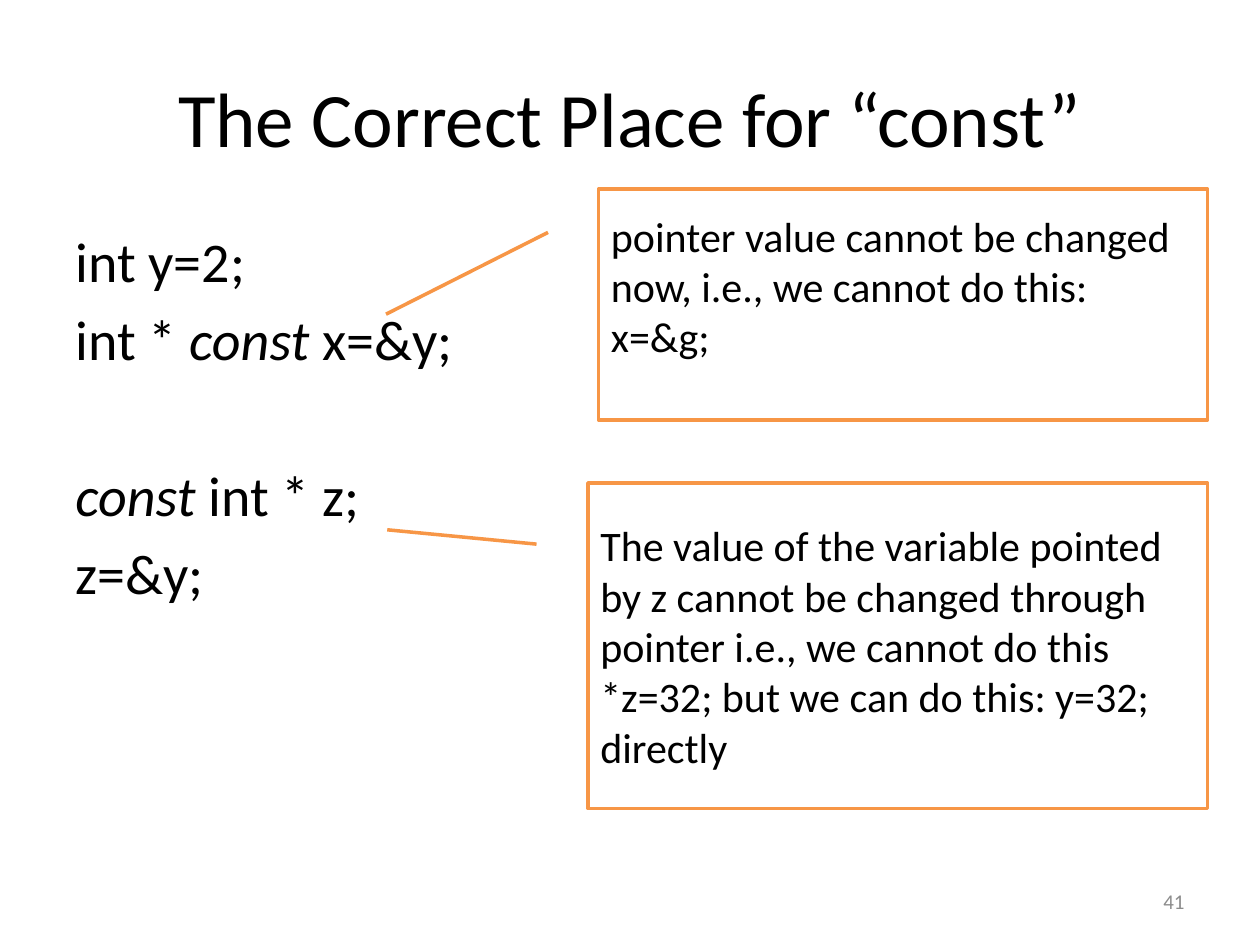
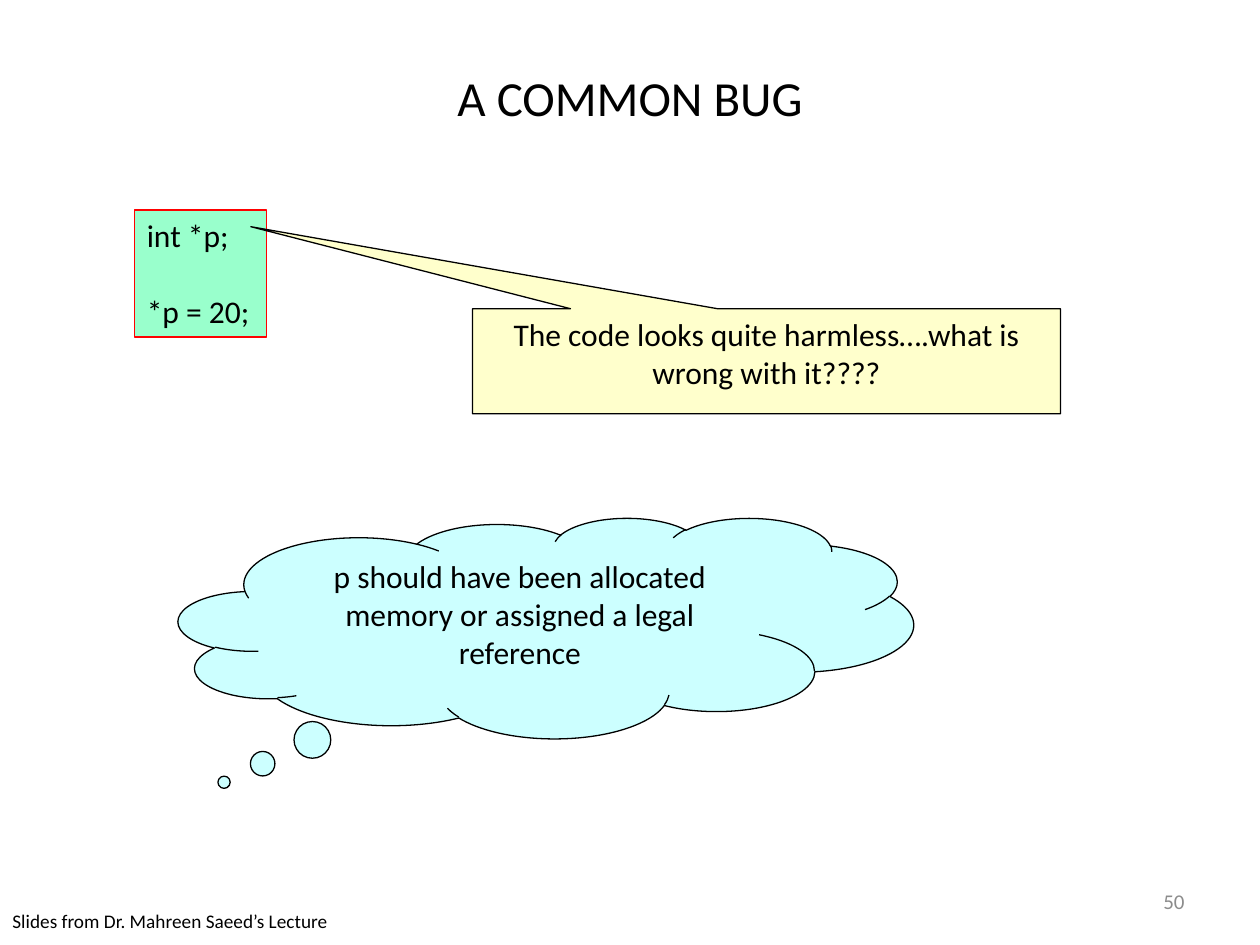
from dataclasses import dataclass, field
from typing import Optional

from pptx import Presentation
from pptx.dml.color import RGBColor
from pptx.enum import shapes, text
from pptx.util import Emu, Inches, Pt

COLUMNS, ROWS = 120, 90  # the slide's grid; each cell is 1/12 inch square
FONT = "Calibri"
COLORS = {
    "ink": "000000", "paper": "FFFFFF", "number": "8C8C8C",
    "orange": "F79646", "red": "FF0000",
    "mint": "99FFCC", "cream": "FFFFCC", "sky": "CCFFFF",
}
KINDS = shapes.MSO_SHAPE
ALIGN = text.PP_ALIGN
ANCHOR = text.MSO_ANCHOR


@dataclass
class Line:
    """A paragraph; words between asterisk-free run pairs are (text, italic)."""
    runs: list[tuple[str, bool]]
    before: float = 0


@dataclass
class Block:
    """Text on the grid (left, top, width, height), in a shape if kind is set."""
    at: tuple[float, float, float, float]
    lines: list[Line]
    size: float
    align: ALIGN = ALIGN.LEFT
    anchor: ANCHOR = ANCHOR.TOP
    color: str = "ink"
    kind: Optional[KINDS] = None
    fill: str = "paper"
    outline: str = "ink"
    weight: float = 0.75
    adjustments: tuple[float, ...] = ()
    frame: dict = field(default_factory=dict)


def plain(words: str, before: float = 0) -> Line:
    return Line([(words, False)], before)


def title(words: str, top: float, height: float, size: float) -> Block:
    return Block((6, top, 108, height), [plain(words)], size,
                 ALIGN.CENTER, ANCHOR.MIDDLE)


def slide_number(number: int) -> Block:
    return Block((86, 83.4, 28, 4.8), [plain(str(number))], 12,
                 ALIGN.RIGHT, ANCHOR.MIDDLE, "number")


def remark(at: tuple, lines: list[Line], pointer: tuple, **frame) -> Block:
    """An orange box with a line that leads to the code."""
    return Block(at, lines, 24, anchor=ANCHOR.MIDDLE, kind=KINDS.LINE_CALLOUT_1,
                 outline="orange", weight=2,
                 adjustments=(0.188, -0.083, *pointer), frame=frame)


def rgb(name: str) -> RGBColor:
    return RGBColor.from_string(COLORS[name])


def set_all(target, values: dict) -> None:
    for name, value in values.items():
        setattr(target, name, value)


def draw(slide, block: Block, cell: tuple[float, float]) -> None:
    place = [Emu(round(n * cell[i % 2])) for i, n in enumerate(block.at)]
    if block.kind is None:
        shape = slide.shapes.add_textbox(*place)
    else:
        shape = slide.shapes.add_shape(block.kind, *place)
        shape.shadow.inherit = False
        shape.fill.solid()
        shape.fill.fore_color.rgb = rgb(block.fill)
        shape.line.color.rgb = rgb(block.outline)
        shape.line.width = Pt(block.weight)
        for i, value in enumerate(block.adjustments):
            shape.adjustments[i] = value

    frame = shape.text_frame
    set_all(frame, {"word_wrap": True, "vertical_anchor": block.anchor,
                    **block.frame})
    for i, line in enumerate(block.lines):
        paragraph = frame.add_paragraph() if i else frame.paragraphs[0]
        set_all(paragraph, {"alignment": block.align,
                            "space_before": Pt(line.before)})
        for words, italic in line.runs:
            run = paragraph.add_run()
            run.text = words
            set_all(run.font, {"name": FONT, "size": Pt(block.size),
                               "italic": italic})
            run.font.color.rgb = rgb(block.color)


# Slide 1: where "const" goes
CODE_GAP = 6
CONST_PLACE = [
    title("The Correct Place for “const”", 3.6, 15, 44),
    Block((6, 21, 108, 59.4), [
        plain("int y=2;", CODE_GAP),
        Line([("int * ", False), ("const", True), (" x=&y;", False)], CODE_GAP),
        Line([("const ", True), ("int * z;", False)], 2 * CODE_GAP + 39),
        plain("z=&y;", CODE_GAP),
    ], 32),
    slide_number(41),
    remark((57, 18, 58, 22), [
        plain("pointer value cannot be changed now, i.e., we cannot do this:"),
        plain("x=&g;"),
    ], (0.542, -0.349), margin_bottom=Inches(0.35)),
    remark((56, 46, 59, 31), [
        plain("The value of the variable pointed by z cannot be changed "
              "through pointer i.e., we cannot do this"),
        plain("*z=32; but we can do this: y=32; directly"),
    ], (0.144, -0.324)),
]

# Slide 2: a pointer without memory
COMMON_BUG = [
    title("A COMMON BUG", 5.5, 7.4, 28),
    Block((12.8, 20, 12.6, 12.1),
          [plain("int *p;"), plain("*p = 20;", 22)], 18,
          kind=KINDS.RECTANGLE, fill="mint", outline="red",
          frame={"word_wrap": False}),
    Block((45, 29.4, 56, 10),
          [plain("The code looks quite harmless….what is wrong with it????")],
          18, ALIGN.CENTER, kind=KINDS.RECTANGULAR_CALLOUT, fill="cream",
          adjustments=(-0.877, -1.281)),
    Block((17, 49.3, 70, 21),
          [plain("p should have been allocated memory or assigned a legal "
                 "reference")],
          18, ALIGN.CENTER, kind=KINDS.CLOUD_CALLOUT, fill="sky",
          adjustments=(-0.438, 0.7)),
    slide_number(50),
    Block((0, 86, 61, 3.5),
          [plain("Slides from Dr. Mahreen Saeed’s Lecture")], 11),
]


def main() -> None:
    deck = Presentation()
    deck.slide_width, deck.slide_height = Inches(10), Inches(7.5)
    cell = (deck.slide_width / COLUMNS, deck.slide_height / ROWS)
    for blocks in (CONST_PLACE, COMMON_BUG):
        slide = deck.slides.add_slide(deck.slide_layouts[6])
        for block in blocks:
            draw(slide, block, cell)
    deck.save("out.pptx")


if __name__ == "__main__":
    main()
